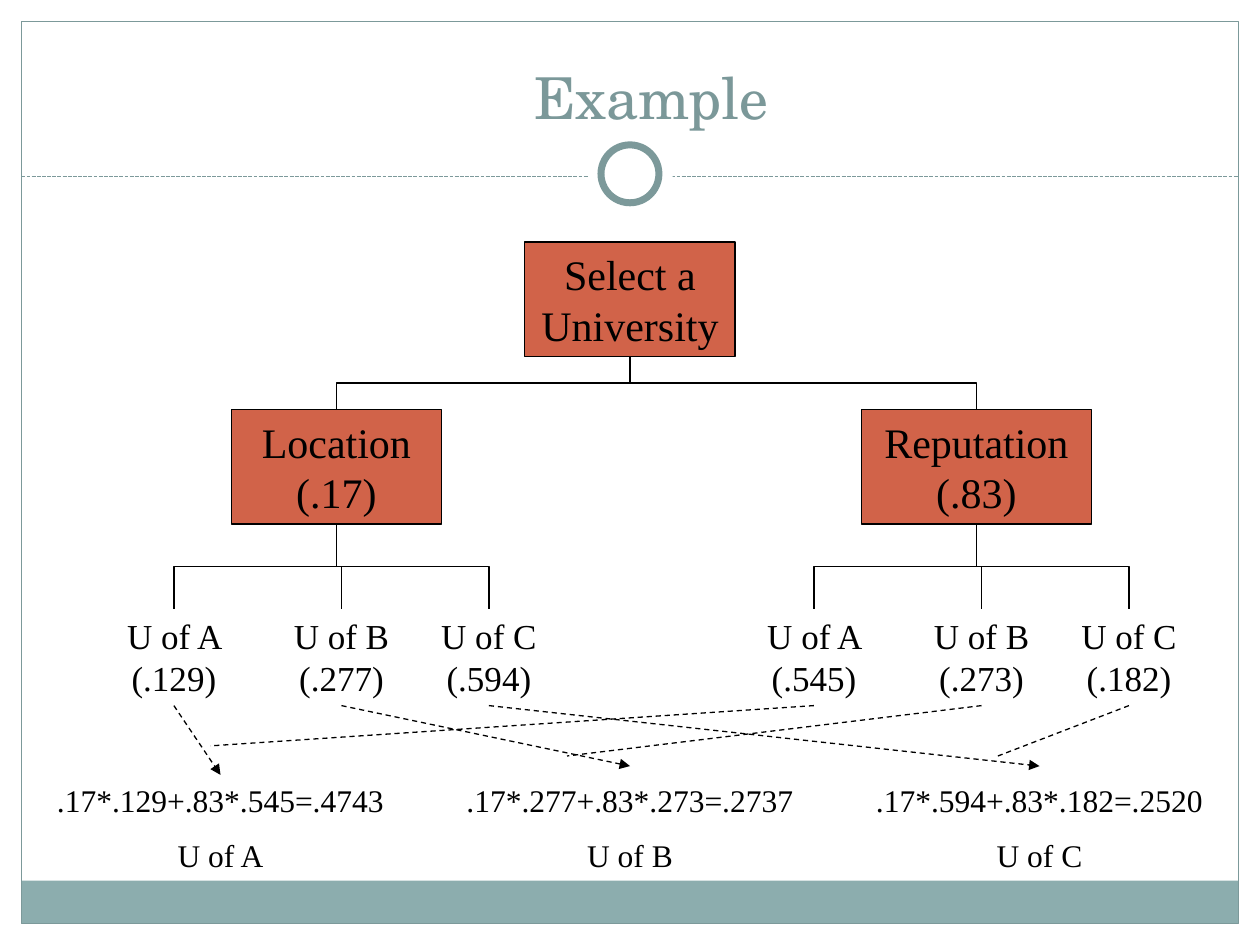
from lxml.etree import SubElement
from pptx import Presentation
from pptx.dml.color import RGBColor
from pptx.enum.dml import MSO_LINE_DASH_STYLE as Dash
from pptx.enum.shapes import MSO_CONNECTOR as Connector, MSO_SHAPE as Shape
from pptx.enum.text import MSO_ANCHOR as Anchor, MSO_AUTO_SIZE as AutoSize, PP_ALIGN as Align
from pptx.oxml.ns import qn
from pptx.util import Inches, Pt

WHITE = RGBColor(0xFF, 0xFF, 0xFF)
BLACK = RGBColor(0x00, 0x00, 0x00)
FRAME = RGBColor(0x7C, 0x99, 0x9A)
FOOTER = RGBColor(0x8C, 0xAD, 0xAE)
TITLE = RGBColor(0x7B, 0x98, 0x99)
NODE = RGBColor(0xD1, 0x63, 0x49)
SERIF = "Times New Roman"
TITLE_FONT = "TeX Gyre Schola"

NODE_HEIGHT = 0.91
ROOT_TOP, CRITERIA_TOP = 1.92, 3.25
OPTION_TOP, OPTION_WIDTH, OPTION_HEIGHT = 4.83, 1.58, 0.77
RESULT_TOP, RESULT_WIDTH, RESULT_GAP = 6.15, 3, 0.25

UNIVERSITIES = ["U of A", "U of B", "U of C"]
OPTION_OFFSETS = [-1.29, 0.04, 1.21]  # option centres from their criterion's centre
CRITERIA = [
    # label, centre, width, option weights
    ("Location (.17)", 2.67, 1.67, [".129", ".277", ".594"]),
    ("Reputation (.83)", 7.75, 1.83, [".545", ".273", ".182"]),
]
RESULTS = [
    # score, end of the Location arrow, end of the Reputation line
    (".17*.129+.83*.545=.4743", (1.75, 6.15), (1.67, 5.92)),
    (".17*.277+.83*.273=.2737", (5, 6.08), (4.5, 6)),
    (".17*.594+.83*.182=.2520", (8.25, 6.08), (7.92, 6)),
]


def write(box, lines, size, color=BLACK, font=SERIF, anchor=Anchor.TOP, gap=0):
    """Fill a box with centred paragraphs, set gap points apart."""
    frame = box.text_frame
    frame.word_wrap = True
    frame.vertical_anchor = anchor
    for index, line in enumerate(lines):
        para = frame.paragraphs[0] if index == 0 else frame.add_paragraph()
        para.alignment = Align.CENTER
        if index:
            para.space_before = Pt(gap)
        span = para.add_run()
        span.text = line
        span.font.size = Pt(size)
        span.font.name = font
        span.font.color.rgb = color


def add_text(page, left, top, width, height, lines, size, **style):
    box = page.shapes.add_textbox(Inches(left), Inches(top), Inches(width), Inches(height))
    write(box, lines, size, **style)
    return box


def add_panel(page, kind, left, top, width, height, fill=None, line=None, weight=0.75):
    panel = page.shapes.add_shape(kind, Inches(left), Inches(top), Inches(width), Inches(height))
    panel.shadow.inherit = False
    if fill is None:
        panel.fill.background()
    else:
        panel.fill.solid()
        panel.fill.fore_color.rgb = fill
    if line is None:
        panel.line.fill.background()
    else:
        panel.line.color.rgb = line
        panel.line.width = Pt(weight)
    return panel


def add_line(page, start, end, color=BLACK, dash=None, arrow=False, kind=Connector.STRAIGHT):
    line = page.shapes.add_connector(kind, *map(Inches, (*start, *end)))
    line.line.color.rgb = color
    line.line.width = Pt(0.75)
    if dash is not None:
        line.line.dash_style = dash
    if arrow:
        SubElement(line.line._get_or_add_ln(), qn("a:tailEnd"), type="triangle")
    SubElement(line.element.spPr, qn("a:effectLst"))
    return line


def add_branch(page, start, end):
    """Draw an elbow that leaves downwards: a sideways elbow turned a quarter."""
    (x1, y1), (x2, y2) = start, end
    center_x, center_y = (x1 + x2) / 2, (y1 + y2) / 2
    half_drop, half_span = (y2 - y1) / 2, abs(x2 - x1) / 2
    goes_right = x2 > x1
    side = half_drop if goes_right else -half_drop
    elbow = add_line(page, (center_x + side, center_y - half_span),
                     (center_x - side, center_y + half_span), kind=Connector.ELBOW)
    turn = 270 if goes_right else 90
    elbow.element.spPr.find(qn("a:xfrm")).set("rot", str(turn * 60000))


def add_node(page, center, top, width, label):
    """Draw a tree node and return the middle of its bottom edge."""
    node = add_panel(page, Shape.RECTANGLE, center - width / 2, top, width, NODE_HEIGHT, NODE, BLACK)
    write(node, [label], 24, anchor=Anchor.MIDDLE)
    node.text_frame.auto_size = AutoSize.SHAPE_TO_FIT_TEXT
    return center, top + NODE_HEIGHT


def add_frame(page):
    add_panel(page, Shape.RECTANGLE, 0.17, 6.99, 9.66, 0.34, FOOTER)
    add_panel(page, Shape.RECTANGLE, 0.17, 0.17, 9.66, 7.16, line=FRAME)
    add_line(page, (0.17, 1.4), (9.83, 1.4), FRAME, Dash.SQUARE_DOT).line.dash_style = Dash.SQUARE_DOT
    add_panel(page, Shape.OVAL, 4.67, 1.05, 0.67, 0.67, WHITE)
    add_panel(page, Shape.OVAL, 4.77, 1.15, 0.46, 0.46, WHITE, FRAME, 4)


def add_tree(page):
    root = add_node(page, 5, ROOT_TOP, 1.67, "Select a University")
    for label, center, width, weights in CRITERIA:
        add_branch(page, root, (center, CRITERIA_TOP))
        criterion = add_node(page, center, CRITERIA_TOP, width, label)
        for name, weight, offset in zip(UNIVERSITIES, weights, OPTION_OFFSETS):
            x = center + offset
            add_branch(page, criterion, (x, OPTION_TOP))
            add_text(page, x - OPTION_WIDTH / 2, OPTION_TOP, OPTION_WIDTH, OPTION_HEIGHT,
                     [f"{name} ({weight})"], 20)


def add_results(page):
    centers = [center for _, center, _, _ in CRITERIA]
    bottom = OPTION_TOP + OPTION_HEIGHT
    for index, (score, *ends) in enumerate(RESULTS):
        left = RESULT_GAP + index * (RESULT_WIDTH + RESULT_GAP)
        add_text(page, left, RESULT_TOP, RESULT_WIDTH, 0.85, [score, UNIVERSITIES[index]], 18, gap=10)
        for center, end in zip(centers, ends):
            add_line(page, (center + OPTION_OFFSETS[index], bottom), end,
                     dash=Dash.DASH, arrow=center == centers[0])


def main():
    deck = Presentation()
    deck.slide_width, deck.slide_height = Inches(10), Inches(7.5)
    page = deck.slides.add_slide(deck.slide_layouts[6])
    add_frame(page)
    add_text(page, 0.92, 0.42, 8.5, 0.67, ["Example"], 33,
             color=TITLE, font=TITLE_FONT, anchor=Anchor.BOTTOM)
    add_tree(page)
    add_results(page)
    deck.save("out.pptx")


if __name__ == "__main__":
    main()
